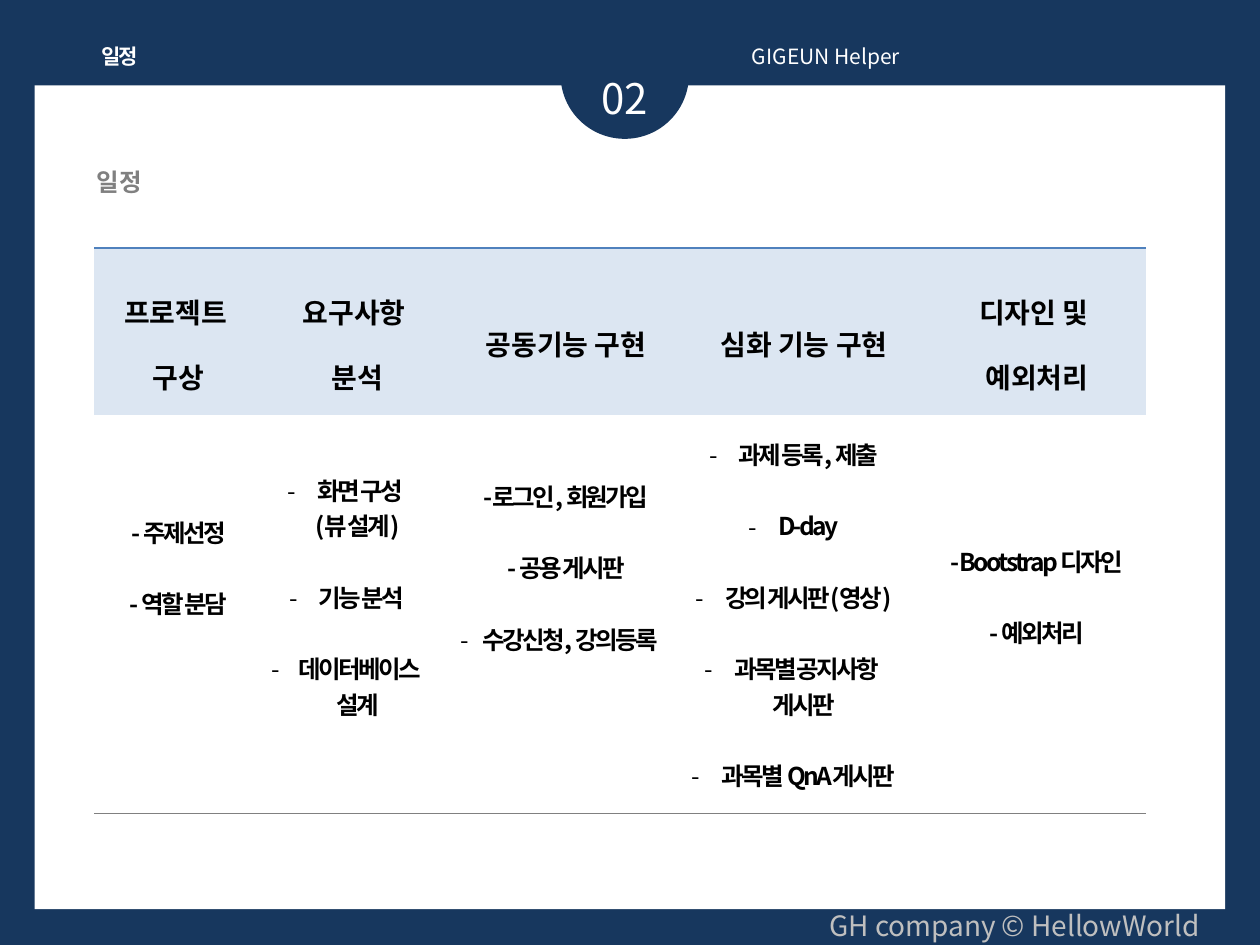
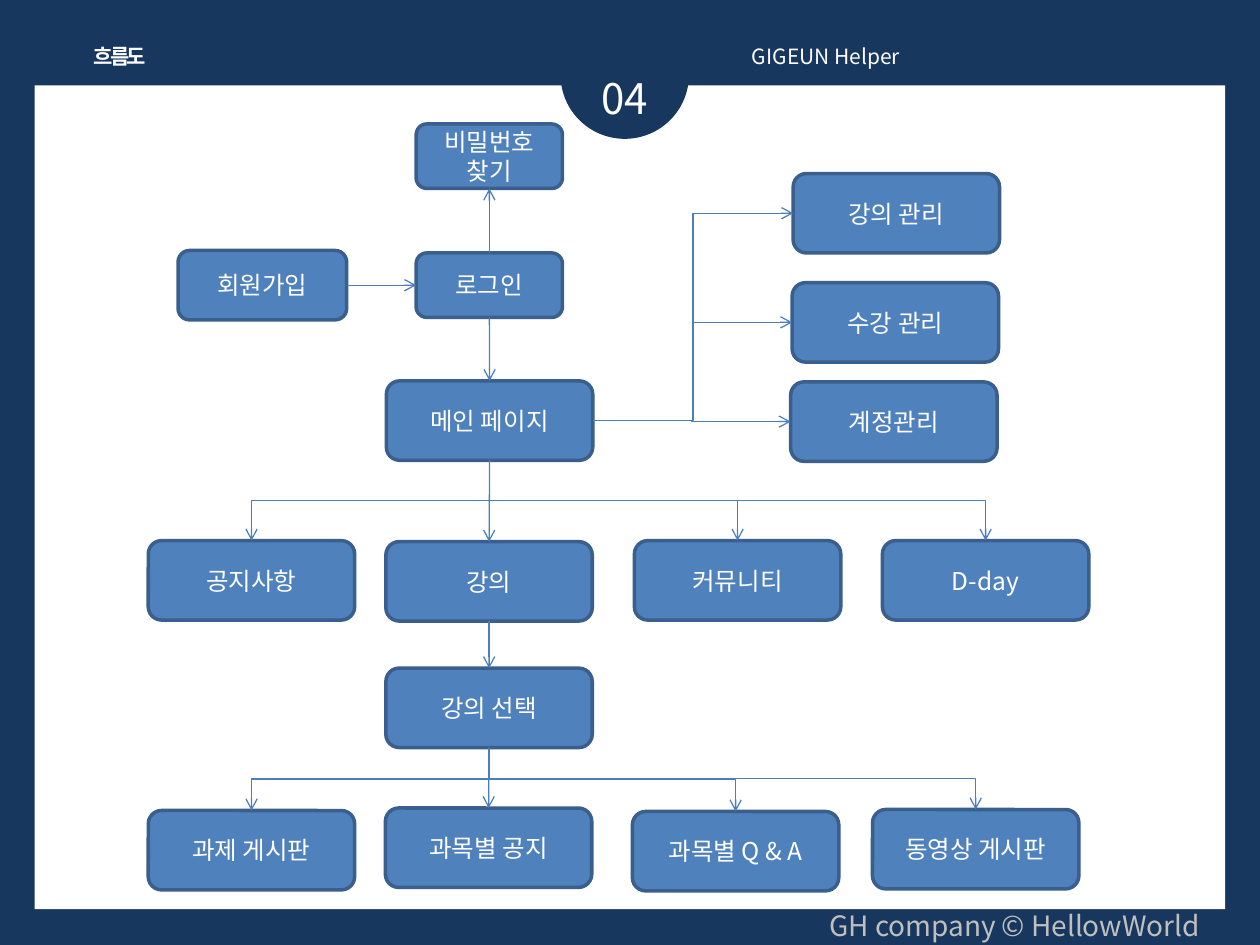
from pptx import Presentation
from pptx.dml.color import RGBColor
from pptx.enum.shapes import MSO_CONNECTOR as Link, MSO_SHAPE as Kind
from pptx.enum.text import MSO_ANCHOR as Anchor, PP_ALIGN as Align
from pptx.oxml.ns import qn
from pptx.util import Cm, Pt
from lxml.etree import SubElement as sub, Element

FONT = "Noto Sans CJK KR"
NAVY, WHITE, BLUE, EDGE, WIRE = "17375E", "FFFFFF", "4F81BD", "3A5F8C", "4B7EBC"
BLACK, PALE, GRAY, SILVER = "000000", "DCE6F2", "808080", "BFBFBF"
PLAIN = "{2D5ABB26-0587-4C30-8999-92F81FD0307C}"
TOP, LEFT, BOTTOM, RIGHT = range(4)


def rgb(code):
    """Turn a hex string into a colour."""
    return RGBColor.from_string(code)


class Deck:
    """Hold the shared style and the current slide."""

    def __init__(self):
        """Open an empty 4:3 deck."""
        self.show = Presentation()
        self.show.slide_width, self.show.slide_height = Cm(25.4), Cm(19.05)
        self.slide = None

    def page(self, number, title):
        """Start a slide with its frame, badge and captions."""
        self.slide = self.show.slides.add_slide(self.show.slide_layouts[6])
        fill = self.slide.background.fill
        fill.solid()
        fill.fore_color.rgb = rgb(NAVY)
        self.shape(Kind.RECTANGLE, (0.7, 1.72, 24, 16.61), WHITE)
        self.shape(Kind.OVAL, (11.3, 0.21, 2.59, 2.59), NAVY)
        self.text(number, (11.1, 1.34, 3, 1.27), 24, align=Align.CENTER)
        self.text(title, (1.6, 0.76, 1.63, 0.76), 12, align=Align.CENTER,
                  bold=True, gap=-150, wrap=False)
        self.text("GIGEUN Helper", (14.91, 0.76, 10, 0.76), 12)
        note = self.text("GH company © HellowWorld", (15.4, 18.19, 9.29, 0.94),
                         16, SILVER, Align.RIGHT)
        note.text_frame.margin_right = Cm(0.5)

    def style(self, para, size, color, bold=False, font=FONT, gap=0):
        """Format every run of a paragraph."""
        for run in para.runs:
            run.font.size, run.font.bold, run.font.name = Pt(size), bold, font
            run.font.color.rgb = rgb(color)
            props = run.font._element
            if gap:
                props.set("spc", str(gap))
            east = Element(qn("a:ea"), typeface=FONT)
            props.find(qn("a:latin")).addnext(east)

    def text(self, words, box, size, color=WHITE, align=Align.LEFT,
             bold=False, gap=0, wrap=True):
        """Add a text box of one line."""
        item = self.slide.shapes.add_textbox(*map(Cm, box))
        frame = item.text_frame
        frame.word_wrap, frame.text = wrap, words
        frame.paragraphs[0].alignment = align
        self.style(frame.paragraphs[0], size, color, bold, gap=gap)
        return item

    def shape(self, kind, box, color, edge=None):
        """Add a flat preset shape."""
        item = self.slide.shapes.add_shape(kind, *map(Cm, box))
        item.shadow.inherit = False
        item.fill.solid()
        item.fill.fore_color.rgb = rgb(color)
        if edge:
            item.line.color.rgb, item.line.width = rgb(edge), Pt(2)
        else:
            item.line.fill.background()
        return item

    def node(self, words, x, y, w=4.16, h=1.6):
        """Add a labelled box of the flow."""
        item = self.shape(Kind.ROUNDED_RECTANGLE, (x, y, w, h), BLUE, EDGE)
        frame = item.text_frame
        frame.word_wrap, frame.text = True, words
        frame.vertical_anchor = Anchor.MIDDLE
        frame.paragraphs[0].alignment = Align.CENTER
        self.style(frame.paragraphs[0], 14, WHITE)
        return item

    def arrow(self, start, out, end, into, bent=False):
        """Join two boxes, leaving and entering at the given sides."""
        kind = Link.ELBOW if bent else Link.STRAIGHT
        line = self.slide.shapes.add_connector(kind, 0, 0, 0, 0)
        line.begin_connect(start, out)
        line.end_connect(end, into)
        line.line.color.rgb, line.line.width = rgb(WIRE), Pt(0.75)
        sub(line.line._get_or_add_ln(), qn("a:tailEnd"), type="arrow")
        sub(line._element.spPr, qn("a:effectLst"))
        if bent and out == BOTTOM:
            self.turn(line)

    def turn(self, line):
        """Rotate an elbow so that it runs down, across and down."""
        right = line.end_x > line.begin_x
        x, y, w, h = line.left, line.top, line.width, line.height
        line.left, line.top = x + (w - h) // 2, y + (h - w) // 2
        line.width, line.height = h, w
        line.rotation = 270 if right else 90
        line._element.flipH, line._element.flipV = right, False

    def cell(self, cell, lines, head, lift):
        """Fill a table cell; * marks a bullet, > a line that continues."""
        cell.vertical_anchor = Anchor.MIDDLE
        cell.margin_left = cell.margin_right = Cm(0.18)
        cell.margin_top, cell.margin_bottom = Cm(0.05), Cm(0.05 + lift)
        cell.text_frame.text = "\n".join(line.lstrip("*>") for line in lines)
        for i, (para, line) in enumerate(zip(cell.text_frame.paragraphs, lines)):
            para.alignment = Align.CENTER
            if head:
                para.line_spacing = 1.6
                self.style(para, 16, BLACK, True, "Arial")
                continue
            self.style(para, 14, BLACK, True, gap=-150)
            if i and line[0] != ">":
                para.space_before = Pt(20.3)
            if line[0] == "*":
                props = para._p.get_or_add_pPr()
                props.set("marL", str(Cm(0.12)))
                props.set("indent", str(-Cm(0.6)))
                sub(props, qn("a:buFont"), typeface=FONT)
                sub(props, qn("a:buChar"), char="-")
        if head:
            cell.fill.solid()
            cell.fill.fore_color.rgb = rgb(PALE)
        else:
            cell.fill.background()
        side, width, color = ("T", 1, BLUE) if head else ("B", 0.75, GRAY)
        edge = Element(qn("a:ln" + side), w=str(Pt(width)))
        sub(sub(edge, qn("a:solidFill")), qn("a:srgbClr"), val=color)
        cell._tc.get_or_add_tcPr().insert(0, edge)

    def table(self, rows, box, wide, high, lifts):
        """Add a table with a tinted head row and two rules."""
        grid = self.slide.shapes.add_table(
            len(rows), len(wide), *map(Cm, box)).table
        grid.first_row = grid.horz_banding = False
        grid._tbl.tblPr.find(qn("a:tableStyleId")).text = PLAIN
        for col, size in zip(grid.columns, wide):
            col.width = Cm(size)
        for r, row in enumerate(rows):
            grid.rows[r].height = Cm(high[r])
            for c, lines in enumerate(row):
                self.cell(grid.cell(r, c), lines, r == 0, lifts[c] if r else 0)


def plan(deck):
    """Build the schedule slide."""
    deck.page("02", "일정")
    deck.text("일정", (1.7, 3.25, 8.5, 0.86), 14, GRAY, bold=True)
    heads = [["프로젝트 ", "구상"], ["요구사항 ", "분석"], ["공동기능 구현"],
             ["심화 기능 구현"], ["디자인 및 ", "예외처리"]]
    tasks = [
        ["- 주제선정", "- 역할 분담"],
        ["*화면 구성 ", ">(뷰 설계)", "*기능 분석", "*데이터베이스 ", ">설계"],
        ["-로그인, 회원가입", "- 공용 게시판", "*수강신청, 강의등록"],
        ["*과제 등록, 제출", "*D-day", "*강의 게시판(영상)",
         "*과목별 공지사항 ", ">게시판", "*과목별 QnA게시판"],
        ["- Bootstrap 디자인", "- 예외처리"],
    ]
    deck.table([heads, tasks], (1.9, 5, 21.2, 11.4),
               (3.4, 3.81, 4.6, 5, 4.39), (3.37, 8.03),
               (1.9, 0.72, 1.9, 0, 0.72))


def flow(deck):
    """Build the flow chart slide."""
    deck.page("04", "흐름도")
    join = deck.node("회원가입", 3.59, 5.05, 3.4, 1.4)
    login = deck.node("로그인", 8.39, 5.1, 2.95, 1.3)
    reset = deck.node("비밀번호 찾기", 8.39, 2.5, 2.95, 1.3)
    main = deck.node("메인 페이지", 7.79, 7.68)
    pick = deck.node("강의 선택", 7.78, 13.47)
    admin = [deck.node(*spot) for spot in (
        ("강의 관리", 15.99, 3.5), ("수강 관리", 15.97, 5.7),
        ("계정관리", 15.94, 7.7))]
    menu = [deck.node(*spot) for spot in (
        ("공지사항", 2.99, 10.9), ("강의", 7.78, 10.92),
        ("커뮤니티", 12.79, 10.9), ("D-day", 17.79, 10.9))]
    board = [deck.node(*spot) for spot in (
        ("과제 게시판", 2.99, 16.34), ("과목별 공지", 7.77, 16.29),
        ("과목별 Q & A", 12.75, 16.36), ("동영상 게시판", 17.59, 16.32))]
    deck.arrow(login, TOP, reset, BOTTOM)
    deck.arrow(join, RIGHT, login, LEFT)
    deck.arrow(login, BOTTOM, main, TOP)
    deck.arrow(menu[1], BOTTOM, pick, TOP)
    for item in admin:
        deck.arrow(main, RIGHT, item, LEFT, True)
    for root, row in ((main, menu), (pick, board)):
        for i, item in enumerate(row):
            deck.arrow(root, BOTTOM, item, TOP, i != 1)


if __name__ == "__main__":
    deck = Deck()
    plan(deck)
    flow(deck)
    deck.show.save("out.pptx")
